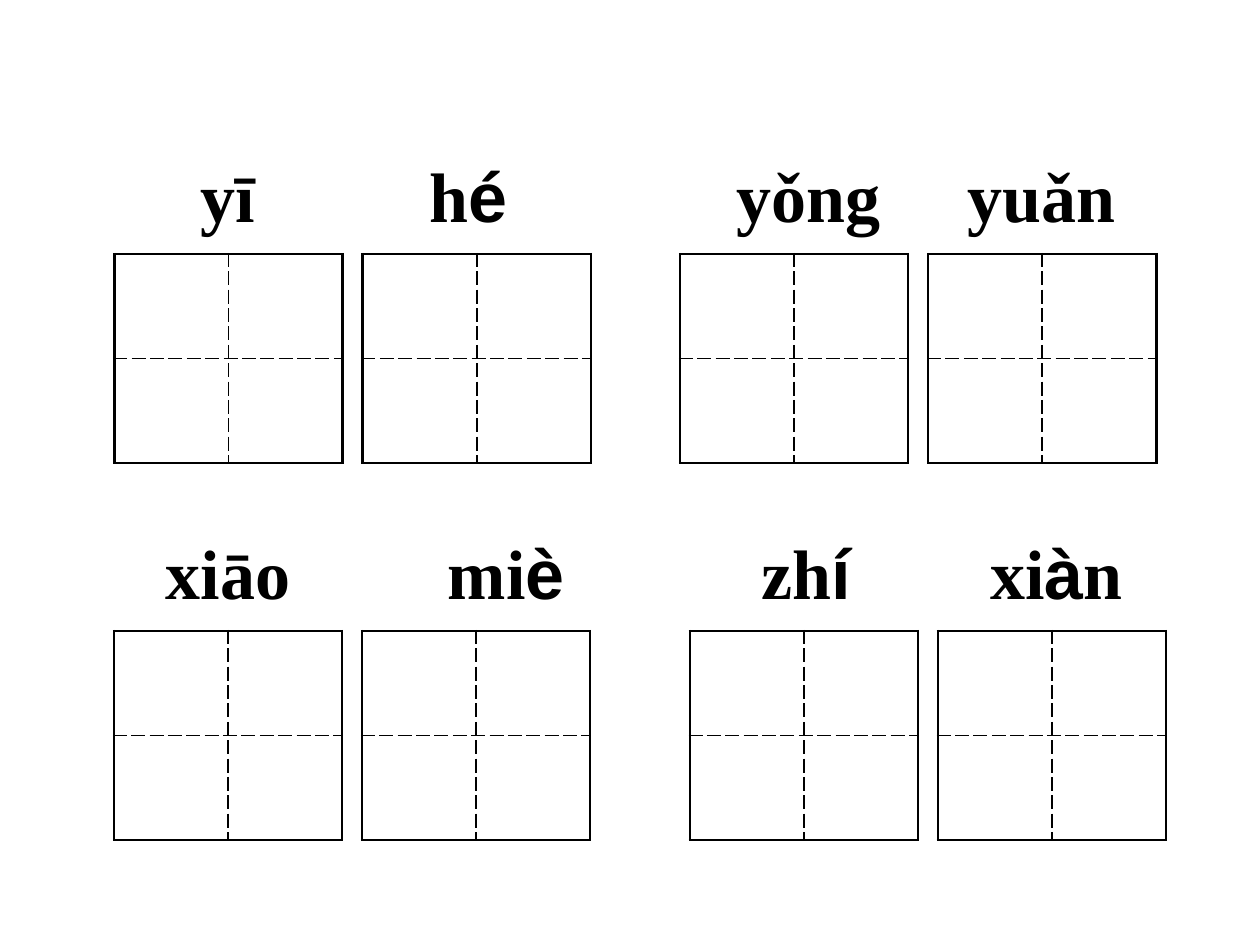
"""Build a slide of pinyin words over dashed character-writing grids."""
from pptx import Presentation, util as u
from pptx.dml.color import RGBColor
from pptx.oxml import parse_xml
from pptx.oxml.ns import nsdecls

Pt = u.Pt
INK = "000000"
SERIF, SANS = "Times New Roman", "Arial"
SANS_VOWELS = "éèíà"

WORD_PAIRS = [
    {"words": ("yī", "hé"), "grid": (65.4, 145.2), "label_lefts": (107.6, 238.6)},
    {"words": ("yǒng", "yuǎn"), "grid": (388.6, 145.2), "label_lefts": (413.8, 546)},
    {"words": ("xiāo", "miè"), "grid": (65.1, 360.6), "label_lefts": (87.8, 248.9)},
    {"words": ("zhí", "xiàn"), "grid": (394.1, 360.6), "label_lefts": (428, 558.8)},
]
GRID_STEP = 141.8
CELL_WIDTH, CELL_HEIGHT = 65.2, 59.7
LABEL_WIDTH, LABEL_HEIGHT = 125, 55.4
LABEL_RISE = 61.8
OUTER, INNER = (1.47, "solid"), (1.08, "dash")


def color(hex_code):
    return RGBColor.from_string(hex_code)


def font_pieces(word):
    pieces = []
    for letter in word:
        face = SANS if letter in SANS_VOWELS else SERIF
        if pieces and pieces[-1][1] == face:
            pieces[-1][0] += letter
        else:
            pieces.append([letter, face])
    return pieces


def add_label(slide, word, left, top, size=40, bold=True, ink=INK):
    label = slide.shapes.add_textbox(Pt(left), Pt(top), Pt(LABEL_WIDTH), Pt(LABEL_HEIGHT))
    label.text_frame.word_wrap = True
    paragraph = label.text_frame.paragraphs[0]
    for piece, face in font_pieces(word):
        run = paragraph.add_run()
        run.text = piece
        run.font.name, run.font.size, run.font.bold = face, Pt(size), bold
        run.font.color.rgb = color(ink)


def set_borders(cell, row, column):
    edges = {"lnL": column == 0, "lnR": column == 1, "lnT": row == 0, "lnB": row == 1}
    properties = cell._tc.get_or_add_tcPr()
    for place, (edge, is_outer) in enumerate(edges.items()):
        width, dash = OUTER if is_outer else INNER
        properties.insert(place, parse_xml(
            f'<a:{edge} {nsdecls("a")} w="{Pt(width)}"><a:solidFill><a:srgbClr val="{INK}"/>'
            f'</a:solidFill><a:prstDash val="{dash}"/></a:{edge}>'))


def add_writing_grid(slide, left, top):
    grid = slide.shapes.add_table(
        2, 2, Pt(left), Pt(top), Pt(2 * CELL_WIDTH), Pt(2 * CELL_HEIGHT)).table
    grid.first_row = grid.horz_banding = False
    for row in range(2):
        for column in range(2):
            cell = grid.cell(row, column)
            cell.fill.background()
            set_borders(cell, row, column)


def main():
    deck = Presentation()
    deck.slide_width, deck.slide_height = Pt(720), Pt(540)
    slide = deck.slides.add_slide(deck.slide_layouts[6])
    for pair in WORD_PAIRS:
        left, top = pair["grid"]
        for position, (word, label_left) in enumerate(zip(pair["words"], pair["label_lefts"])):
            add_writing_grid(slide, left + position * GRID_STEP, top)
            add_label(slide, word, label_left, top - LABEL_RISE)
    deck.save("out.pptx")


if __name__ == "__main__":
    main()
